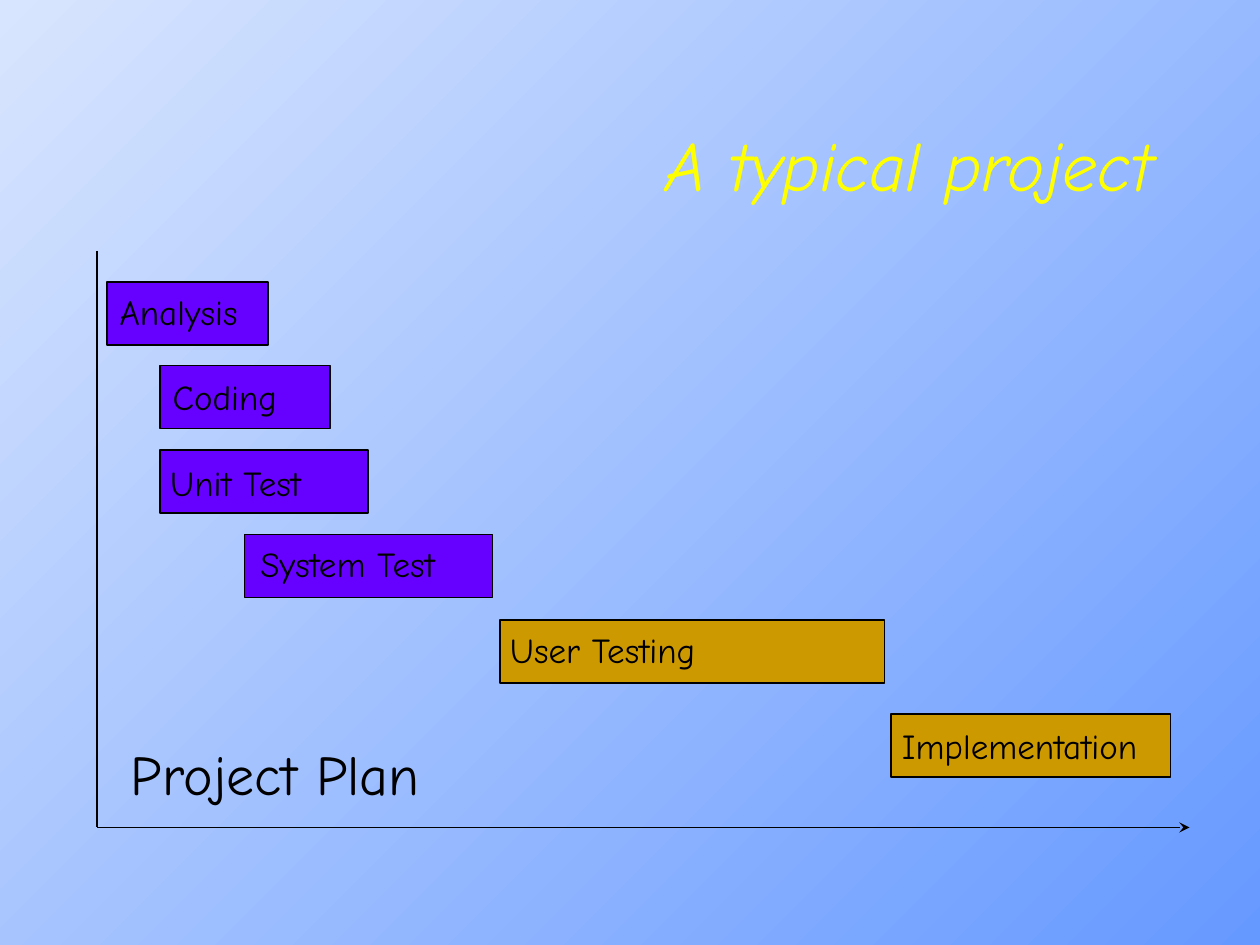
from lxml.etree import SubElement
from pptx import Presentation
from pptx.dml.color import RGBColor
from pptx.enum.shapes import MSO_CONNECTOR, MSO_SHAPE
from pptx.enum.text import MSO_ANCHOR, MSO_AUTO_SIZE, PP_ALIGN
from pptx.oxml.ns import qn
from pptx.util import Cm, Pt

BLACK = RGBColor(0x00, 0x00, 0x00)
YELLOW = RGBColor(0xFF, 0xFF, 0x00)
VIOLET = RGBColor(0x66, 0x00, 0xFF)
OCHRE = RGBColor(0xCC, 0x99, 0x00)
SKY = RGBColor(0x66, 0x99, 0xFF)
PALE = RGBColor(0xD8, 0xE5, 0xFE)

BAR_HEIGHT = 1.27
LABEL_HEIGHT = 1.09
AXIS_LEFT, AXIS_TOP, AXIS_RIGHT, AXIS_BOTTOM = 1.96, 5.06, 23.98, 16.68

# task, colour, bar (left, top, width), label (shift right, shift down, width), outline
TASKS = [
    ("Analysis", VIOLET, (2.16, 5.69, 3.25), (0, 0.05, 3.28), 1),
    ("Coding", VIOLET, (3.23, 7.37, 3.43), (0, 0.08, 2.67), 1),
    ("Unit Test", VIOLET, (3.23, 9.07, 4.19), (-0.05, 0.1, 3.84), 1),
    ("System Test", VIOLET, (4.93, 10.77, 5), (0.07, 0.05, 4.98), 0.75),
    ("User Testing", OCHRE, (10.08, 12.5, 7.75), (-0.05, 0.05, 7.87), 1),
    ("Implementation", OCHRE, (17.96, 14.4, 5.64), (-0.03, 0.08, 6.5), 1),
]


class GanttSlide:
    font_name = "Comic Neue"

    def __init__(self, slide):
        self.slide = slide

    def background(self, start, end, angle):
        fill = self.slide.background.fill
        fill.gradient()
        fill.gradient_angle = angle
        for stop, color in zip(fill.gradient_stops, (start, end)):
            stop.color.rgb = color

    def text(self, words, left, top, width, height, size, color=BLACK,
             align=PP_ALIGN.LEFT, italic=False, shapes=None):
        """Add a text box to the slide, or to the shapes of a group."""
        shapes = shapes or self.slide.shapes
        box = shapes.add_textbox(Cm(left), Cm(top), Cm(width), Cm(height))
        frame = box.text_frame
        frame.word_wrap = True
        frame.auto_size = MSO_AUTO_SIZE.NONE
        frame.vertical_anchor = MSO_ANCHOR.MIDDLE if italic else MSO_ANCHOR.TOP
        paragraph = frame.paragraphs[0]
        paragraph.text = words
        paragraph.alignment = align
        font = paragraph.font
        font.name, font.size, font.italic = self.font_name, Pt(size), italic
        font.color.rgb = color

    def task(self, name, color, bar_place, label_place, outline):
        """Add a bar grouped with its label."""
        left, top, width = bar_place
        shift_right, shift_down, label_width = label_place
        shapes = self.slide.shapes.add_group_shape().shapes
        bar = shapes.add_shape(MSO_SHAPE.RECTANGLE, Cm(left), Cm(top),
                               Cm(width), Cm(BAR_HEIGHT))
        bar.shadow.inherit = False
        bar.fill.solid()
        bar.fill.fore_color.rgb = color
        bar.line.color.rgb = BLACK
        bar.line.width = Pt(outline)
        self.text(name, left + shift_right, top + shift_down, label_width,
                  LABEL_HEIGHT, 20, shapes=shapes)

    def axis(self, x1, y1, x2, y2, arrow=False):
        axis = self.slide.shapes.add_connector(
            MSO_CONNECTOR.STRAIGHT, Cm(x1), Cm(y1), Cm(x2), Cm(y2))
        axis.line.color.rgb = BLACK
        axis.line.width = Pt(1)
        properties = axis.element.spPr
        if arrow:
            SubElement(properties.find(qn("a:ln")), qn("a:tailEnd"), type="stealth")
        SubElement(properties, qn("a:effectLst"))


def main():
    deck = Presentation()
    deck.slide_width, deck.slide_height = Cm(25.4), Cm(19.05)
    gantt = GanttSlide(deck.slides.add_slide(deck.slide_layouts[6]))

    gantt.background(SKY, PALE, 135)
    gantt.text("A typical project", 5.92, 1.7, 17.58, 3.18, 40, YELLOW,
               PP_ALIGN.RIGHT, italic=True)
    gantt.axis(AXIS_LEFT, AXIS_BOTTOM, AXIS_RIGHT, AXIS_BOTTOM, arrow=True)
    for task in TASKS:
        gantt.task(*task)
    gantt.axis(AXIS_LEFT, AXIS_TOP, AXIS_LEFT, AXIS_BOTTOM)
    gantt.text("Project Plan", 2.39, 14.78, 6.99, 1.6, 32)

    deck.save("out.pptx")


if __name__ == "__main__":
    main()
